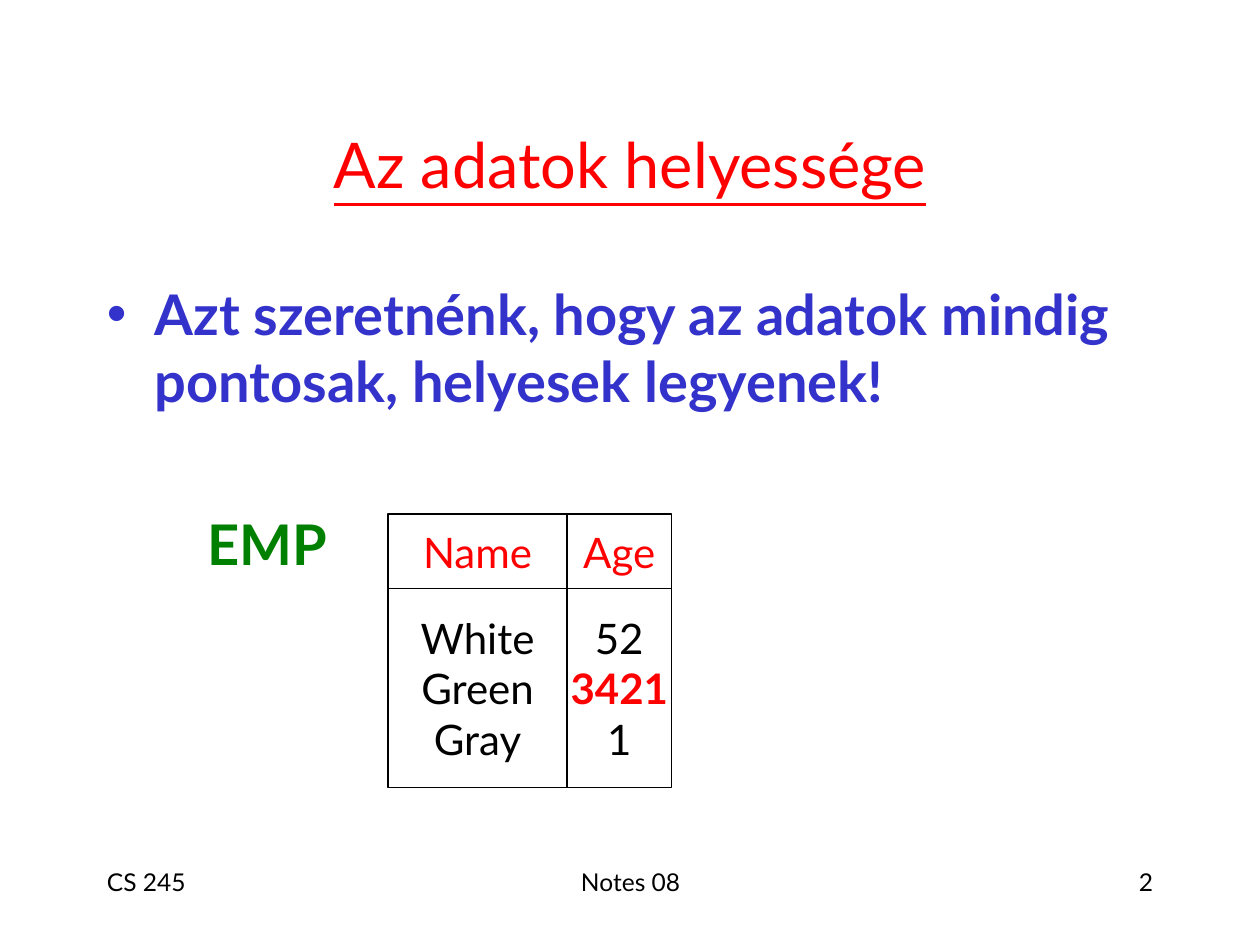
from dataclasses import dataclass

from lxml.etree import SubElement
from pptx import Presentation
from pptx.dml.color import RGBColor
from pptx.enum.shapes import MSO_SHAPE as Preset
from pptx.enum.text import MSO_ANCHOR as Anchor, MSO_AUTO_SIZE as AutoSize, PP_ALIGN as Align
from pptx.oxml.ns import qn
from pptx.util import Inches, Pt

WIDTH, HEIGHT = 10, 7.5
MARGIN = 0.075 * WIDTH
CONTENT_WIDTH = WIDTH - 2 * MARGIN
FONT = "Lato"
RED, BLUE, GREEN, BLACK, WHITE = "FF0000", "3333CC", "008000", "000000", "FFFFFF"


@dataclass
class Style:
    size: float
    color: str = BLACK
    bold: bool = False
    underline: bool = False
    align: Align = Align.LEFT


@dataclass
class Footer:
    text: str
    left: float
    width: float
    align: Align


@dataclass
class Column:
    heading: str
    values: list[str]
    width: float


FOOTERS = [
    Footer("Notes 08", 3.42, 3.17, Align.CENTER),
    Footer("2", WIDTH - MARGIN - 2.08, 2.08, Align.RIGHT),
    Footer("CS 245", MARGIN, 2.08, Align.LEFT),
]

COLUMNS = [
    Column("Name", ["White", "Green", "Gray"], 1.42),
    Column("Age", ["52", "3421", "1"], 0.83),
]
WRONG_VALUE = "3421"
GRID_LEFT, GRID_TOP = 3.08, 4.08
HEADING_HEIGHT, VALUES_HEIGHT = 0.59, 1.58

HEADING_STYLE = Style(24, RED, align=Align.CENTER)
VALUE_STYLE = Style(24, align=Align.CENTER)
WRONG_STYLE = Style(24, RED, bold=True, align=Align.CENTER)


def rgb(color: str) -> RGBColor:
    return RGBColor.from_string(color)


def format_para(para, style: Style) -> None:
    para.alignment = style.align
    for span in para.runs:
        font = span.font
        font.name, font.size = FONT, Pt(style.size)
        font.bold, font.underline = style.bold, style.underline
        font.color.rgb = rgb(style.color)


def add_text(page, text: str, left: float, top: float, width: float,
             height: float, style: Style):
    box = page.shapes.add_textbox(*map(Inches, (left, top, width, height)))
    frame = box.text_frame
    frame.word_wrap = True
    frame.text = text
    for para in frame.paragraphs:
        format_para(para, style)
    return frame


def set_indent(para, left: float, first: float, bullet: str = "") -> None:
    props = para._p.get_or_add_pPr()
    props.set("marL", str(Inches(left)))
    props.set("indent", str(Inches(first)))
    if bullet:
        SubElement(props, qn("a:buFont"), typeface="Arial")
        SubElement(props, qn("a:buChar"), char=bullet)


def add_cell(page, lines: list[str], left: float, top: float, width: float,
             height: float, style: Style) -> None:
    box = page.shapes.add_shape(
        Preset.RECTANGLE, *map(Inches, (left, top, width, height)))
    box.shadow.inherit = False
    box.fill.solid()
    box.fill.fore_color.rgb = rgb(WHITE)
    box.line.color.rgb = rgb(BLACK)
    box.line.width = Pt(0.75)
    frame = box.text_frame
    frame.word_wrap = False
    frame.vertical_anchor = Anchor.MIDDLE
    frame.text = "\n".join(lines)
    for para in frame.paragraphs:
        format_para(para, WRONG_STYLE if para.text == WRONG_VALUE else style)


def add_employee_grid(page) -> None:
    left = GRID_LEFT
    for column in COLUMNS:
        add_cell(page, [column.heading], left, GRID_TOP,
                 column.width, HEADING_HEIGHT, HEADING_STYLE)
        add_cell(page, column.values, left, GRID_TOP + HEADING_HEIGHT,
                 column.width, VALUES_HEIGHT, VALUE_STYLE)
        left += column.width


def main() -> None:
    deck = Presentation()
    deck.slide_width, deck.slide_height = Inches(WIDTH), Inches(HEIGHT)
    page = deck.slides.add_slide(deck.slide_layouts[5])

    # Title
    title = page.shapes.title
    title.left, title.top = Inches(MARGIN), Inches(0.67)
    title.width, title.height = Inches(CONTENT_WIDTH), Inches(1.25)
    title.text_frame.text = "Az adatok helyessége"
    title.text_frame.auto_size = AutoSize.NONE
    title.text_frame.vertical_anchor = Anchor.MIDDLE
    format_para(title.text_frame.paragraphs[0],
                Style(36, RED, underline=True, align=Align.CENTER))

    # Statement, with the name of the employee grid below it
    body = add_text(
        page, "Azt szeretnénk, hogy az adatok mindig pontosak, helyesek legyenek!\nEMP",
        MARGIN, 2.17, CONTENT_WIDTH, 0.6 * HEIGHT, Style(32, BLUE, bold=True))
    statement, grid_name = body.paragraphs
    statement.space_before = Pt(8)
    set_indent(statement, 0.38, -0.38, "•")
    format_para(grid_name, Style(32, GREEN, bold=True))
    grid_name.space_before = Pt(54.4)
    set_indent(grid_name, 0.8, 0)

    # Employee grid
    add_employee_grid(page)

    # Footer line
    for footer in FOOTERS:
        add_text(page, footer.text, footer.left, 6.83, footer.width, 0.5,
                 Style(14, align=footer.align))

    deck.save("out.pptx")


if __name__ == "__main__":
    main()
